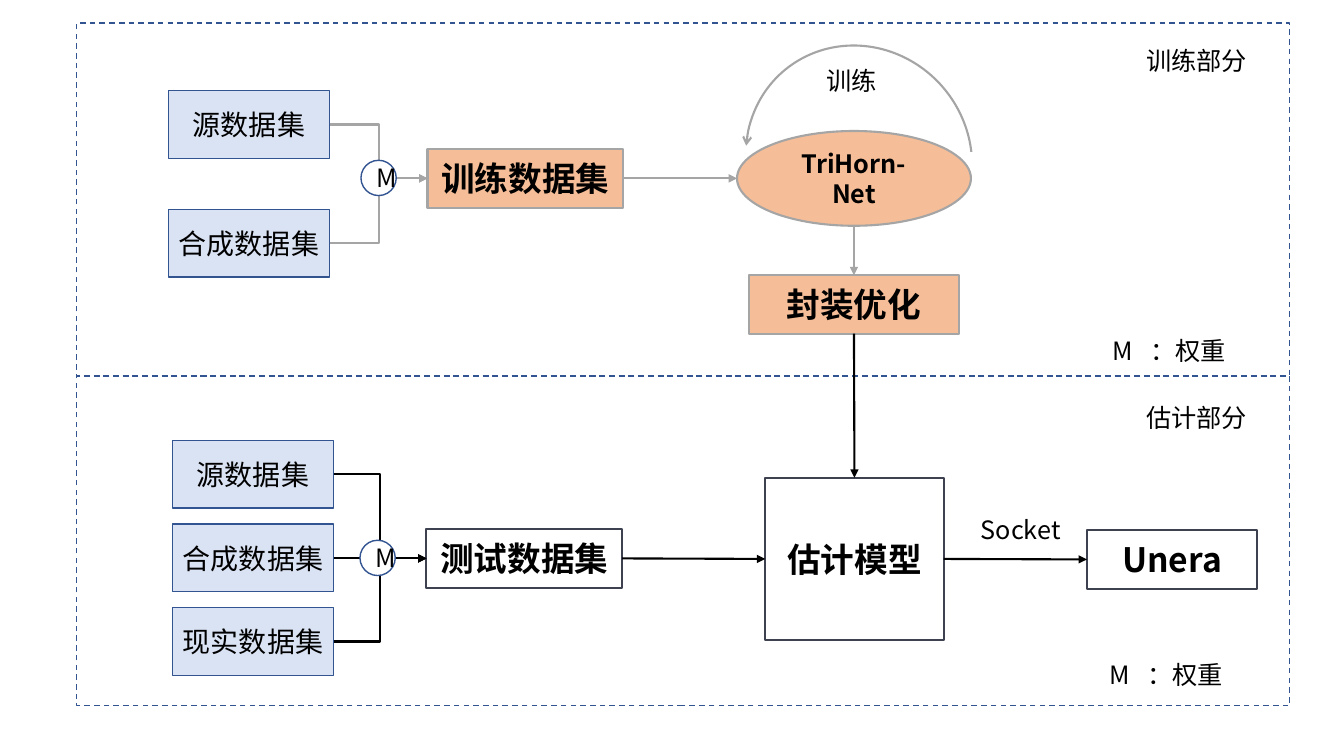
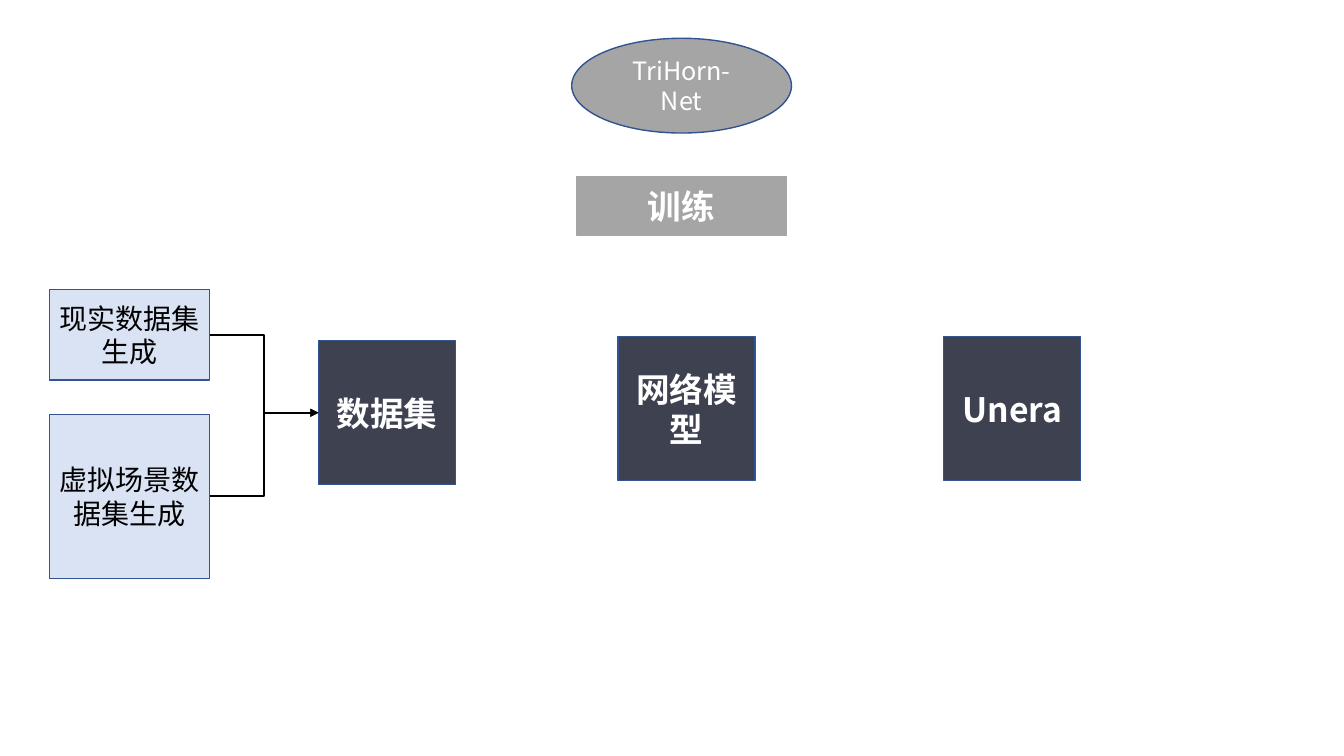
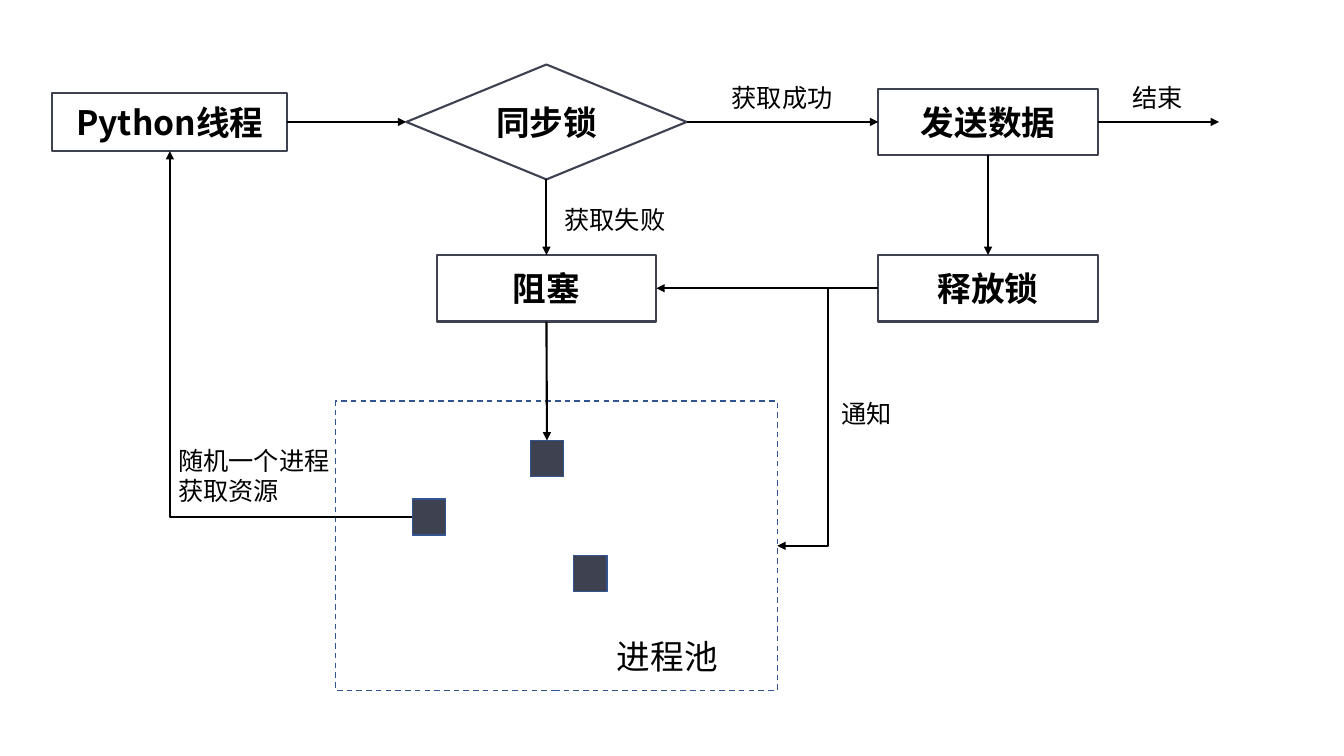
from dataclasses import dataclass, replace
from typing import NamedTuple, Optional

from lxml.etree import SubElement
from pptx import Presentation
from pptx.dml.color import RGBColor
from pptx.enum.dml import MSO_LINE
from pptx.enum.shapes import MSO_CONNECTOR as Route, MSO_SHAPE as Preset
from pptx.enum.text import MSO_ANCHOR, MSO_AUTO_SIZE, PP_ALIGN
from pptx.oxml.ns import qn
from pptx.shapes.autoshape import Shape
from pptx.shapes.connector import Connector
from pptx.slide import Slide
from pptx.text.text import TextFrame
from pptx.util import Inches, Pt

FONT = "Noto Sans CJK SC"
BLACK = RGBColor(0x00, 0x00, 0x00)
WHITE = RGBColor(0xFF, 0xFF, 0xFF)
BLUE = RGBColor(0x32, 0x54, 0x91)
PALE_BLUE = RGBColor(0xDA, 0xE3, 0xF3)
ORANGE = RGBColor(0xF6, 0xBE, 0x98)
GRAY = RGBColor(0xA5, 0xA5, 0xA5)
SLATE = RGBColor(0x3E, 0x41, 0x50)

# Connection sites of a four-sided shape
TOP, LEFT, BOTTOM, RIGHT = range(4)


class Box(NamedTuple):
    left: float
    top: float
    width: float
    height: float


@dataclass(frozen=True)
class Style:
    fill: Optional[RGBColor]
    line: RGBColor
    weight: float = 1
    color: RGBColor = BLACK
    size: int = 24
    bold: bool = True
    dashed: bool = False


PANEL = Style(None, BLUE, dashed=True)
SOURCE = Style(PALE_BLUE, BLUE, size=20, bold=False)
WEIGHT = Style(WHITE, BLUE, size=18, bold=False)
TRAINING = Style(ORANGE, GRAY, 1.5)
STEP = Style(WHITE, SLATE, 1.5)
DARK = Style(SLATE, BLUE, color=WHITE)


def write(frame: TextFrame, text: str, *, size: int = 18, color: RGBColor = BLACK,
          bold: bool = False, align: Optional[PP_ALIGN] = None,
          tab: Optional[float] = None) -> None:
    frame.word_wrap = True
    paragraph = frame.paragraphs[0]
    paragraph.alignment = align
    if tab is not None:
        stops = SubElement(paragraph._p.get_or_add_pPr(), qn("a:tabLst"))
        SubElement(stops, qn("a:tab"), pos=str(Inches(tab)), algn="l")
    run = paragraph.add_run()
    run.text = text
    run.font.name, run.font.size, run.font.bold = FONT, Pt(size), bold
    run.font.color.rgb = color
    SubElement(run._r.get_or_add_rPr(), qn("a:ea"), typeface=FONT)


def label(slide: Slide, text: str, left: float, top: float, width: float,
          height: float = 0.4, **text_format) -> None:
    caption = slide.shapes.add_textbox(*map(Inches, (left, top, width, height)))
    write(caption.text_frame, text, **text_format)
    caption.text_frame.auto_size = MSO_AUTO_SIZE.SHAPE_TO_FIT_TEXT


def node(slide: Slide, text: str, box: Box, style: Style,
         preset: Preset = Preset.FLOWCHART_PROCESS) -> Shape:
    shape = slide.shapes.add_shape(preset, *map(Inches, box))
    shape.shadow.inherit = False
    if style.fill is None:
        shape.fill.background()
    else:
        shape.fill.solid()
        shape.fill.fore_color.rgb = style.fill
    shape.line.color.rgb = style.line
    shape.line.width = Pt(style.weight)
    if style.dashed:
        shape.line.dash_style = MSO_LINE.DASH
    if text:
        shape.text_frame.vertical_anchor = MSO_ANCHOR.MIDDLE
        write(shape.text_frame, text, size=style.size, color=style.color,
              bold=style.bold, align=PP_ALIGN.CENTER)
    return shape


def site_point(shape: Shape, site: int) -> tuple[int, int]:
    x_share, y_share = ((0.5, 0), (0, 0.5), (0.5, 1), (1, 0.5))[site]
    return (int(shape.left + shape.width * x_share),
            int(shape.top + shape.height * y_share))


def arrow(slide: Slide, start: tuple[int, int], end: tuple[int, int],
          color: RGBColor = BLACK, route: Route = Route.STRAIGHT) -> Connector:
    connector = slide.shapes.add_connector(route, *start, *end)
    connector.line.color.rgb = color
    connector.line.width = Pt(1.5)
    SubElement(connector.line._get_or_add_ln(), qn("a:tailEnd"), type="triangle")
    SubElement(connector._element.spPr, qn("a:effectLst"))
    return connector


def link(slide: Slide, source: Shape, source_site: int, target: Shape, target_site: int,
         color: RGBColor = BLACK, route: Route = Route.STRAIGHT) -> Connector:
    """Join two shapes, glued except at ovals, whose sites are numbered differently."""
    connector = arrow(slide, site_point(source, source_site),
                      site_point(target, target_site), color, route)
    if source.auto_shape_type != Preset.OVAL:
        connector.begin_connect(source, source_site)
    if target.auto_shape_type != Preset.OVAL:
        connector.end_connect(target, target_site)
    return connector


def merge(slide: Slide, sources: list[Shape], target: Shape, color: RGBColor = BLACK) -> None:
    """Lead every source into the left side of the target."""
    target_y = site_point(target, LEFT)[1]
    for source in sources:
        level = abs(site_point(source, RIGHT)[1] - target_y) < Inches(0.05)
        if level:
            x, _ = site_point(source, RIGHT)
            arrow(slide, (x, target_y), site_point(target, LEFT), color)
        else:
            link(slide, source, RIGHT, target, LEFT, color, Route.ELBOW)


def training_loop(slide: Slide) -> None:
    loop = node(slide, "", Box(7.42, 0.43, 2.2, 2.31), Style(None, GRAY, 1.5), Preset.ARC)
    loop.adjustments[0], loop.adjustments[1] = 135.65, 20.99
    loop.rotation = 321
    SubElement(loop.line._get_or_add_ln(), qn("a:headEnd"), type="arrow")
    label(slide, "训练", 8.1, 0.6, 2.01)


def weight_mark(slide: Slide, left: float, top: float) -> None:
    node(slide, "M", Box(left, top, 0.35, 0.35), WEIGHT, Preset.OVAL)


def build_system(slide: Slide) -> None:
    for top, height in ((0.23, 3.5), (3.73, 3.27)):
        node(slide, "", Box(0.76, top, 12.03, height), PANEL, Preset.RECTANGLE)

    training_set = node(slide, "训练数据集", Box(4.24, 1.48, 1.94, 0.58), TRAINING)
    network = node(slide, "TriHorn-Net", Box(7.31, 1.3, 2.32, 0.94),
                   replace(TRAINING, size=18), Preset.OVAL)
    packaging = node(slide, "封装优化", Box(7.43, 2.73, 2.08, 0.58), TRAINING)
    training_sources = [
        node(slide, name, Box(1.67, 0.9 + 1.18 * row, 1.6, 0.67), SOURCE)
        for row, name in enumerate(("源数据集", "合成数据集"))]
    merge(slide, training_sources, training_set, GRAY)
    weight_mark(slide, 3.58, 1.59)
    link(slide, training_set, RIGHT, network, LEFT, GRAY)
    link(slide, network, BOTTOM, packaging, TOP, GRAY)
    training_loop(slide)

    test_set = node(slide, "测试数据集", Box(4.23, 5.25, 1.94, 0.58), STEP)
    model = node(slide, "估计模型", Box(7.59, 4.74, 1.77, 1.61), STEP)
    engine = node(slide, "Unera", Box(10.78, 5.26, 1.69, 0.58), STEP)
    test_sources = [
        node(slide, name, Box(1.71, 4.37 + 0.83 * row, 1.6, 0.67), SOURCE)
        for row, name in enumerate(("源数据集", "合成数据集", "现实数据集"))]
    merge(slide, test_sources, test_set)
    weight_mark(slide, 3.57, 5.36)
    link(slide, packaging, BOTTOM, model, TOP)
    link(slide, test_set, RIGHT, model, LEFT)
    link(slide, model, RIGHT, engine, LEFT)
    label(slide, "Socket", 9.63, 5.05, 1.26)

    label(slide, "训练部分", 11.27, 0.4, 1.66)
    label(slide, "估计部分", 11.27, 3.94, 1.77)
    for left, top in ((10.94, 3.28), (10.91, 6.49)):
        label(slide, "M\t：权重", left, top, 1.79, tab=0.37)


def build_modules(slide: Slide) -> None:
    dataset, _, _ = [
        node(slide, name, Box(left, top, 1.36, 1.43), DARK)
        for name, left, top in (("数据集", 3.16, 3.38), ("网络模型", 6.13, 3.34),
                                ("Unera", 9.36, 3.34))]
    sources = [
        node(slide, name, Box(0.49, top, 1.59, height), SOURCE)
        for name, top, height in (("现实数据集生成", 2.87, 0.9),
                                  ("虚拟场景数据集生成", 4.11, 1.63))]
    merge(slide, sources, dataset)
    node(slide, "TriHorn-Net", Box(5.67, 0.38, 2.18, 0.94),
         Style(GRAY, BLUE, color=WHITE, size=18, bold=False), Preset.OVAL)
    node(slide, "训练", Box(5.72, 1.75, 2.08, 0.58), Style(GRAY, GRAY, color=WHITE))


def build_lock_flow(slide: Slide) -> None:
    pool = node(slide, "", Box(3.33, 3.98, 4.38, 2.87), PANEL, Preset.RECTANGLE)
    label(slide, "进程池", 6.02, 6.26, 1.79, 0.5, size=24)
    thread = node(slide, "Python线程", Box(0.52, 0.92, 2.33, 0.58), STEP)
    lock = node(slide, "同步锁", Box(4.03, 0.64, 2.78, 1.14), STEP, Preset.DIAMOND)
    send, release, block = [
        node(slide, name, Box(left, top, 2.18, 0.66), STEP)
        for name, left, top in (("发送数据", 8.71, 0.88), ("释放锁", 8.71, 2.53),
                                ("阻塞", 4.33, 2.53))]
    waiting, chosen, _ = [
        node(slide, "", Box(left, top, 0.33, 0.36), DARK)
        for left, top in ((5.26, 4.37), (4.09, 4.95), (5.69, 5.51))]

    for source, source_site, target, target_site in (
            (thread, RIGHT, lock, LEFT), (lock, RIGHT, send, LEFT),
            (lock, BOTTOM, block, TOP), (send, BOTTOM, release, TOP),
            (release, LEFT, block, RIGHT), (block, BOTTOM, waiting, TOP)):
        link(slide, source, source_site, target, target_site)
    exit_x, exit_y = site_point(send, RIGHT)
    arrow(slide, (exit_x, exit_y), (exit_x + Inches(1.2), exit_y))
    link(slide, release, LEFT, pool, RIGHT, route=Route.ELBOW)
    resume = link(slide, chosen, LEFT, thread, BOTTOM, route=Route.ELBOW)
    resume._element.spPr.find(qn("a:prstGeom")).set("prst", "bentConnector2")

    for text, left, top in (("获取成功", 7.16, 0.77), ("获取失败", 5.5, 1.98),
                            ("通知", 8.25, 3.9), ("结束", 11.13, 0.77)):
        label(slide, text, left, top, 1.7)
    label(slide, "随机一个进程获取资源", 1.67, 4.37, 1.8, 0.71)


def main() -> None:
    deck = Presentation()
    deck.slide_width, deck.slide_height = Inches(13.33), Inches(7.5)
    for build in (build_system, build_modules, build_lock_flow):
        build(deck.slides.add_slide(deck.slide_layouts[6]))
    deck.save("out.pptx")


if __name__ == "__main__":
    main()
